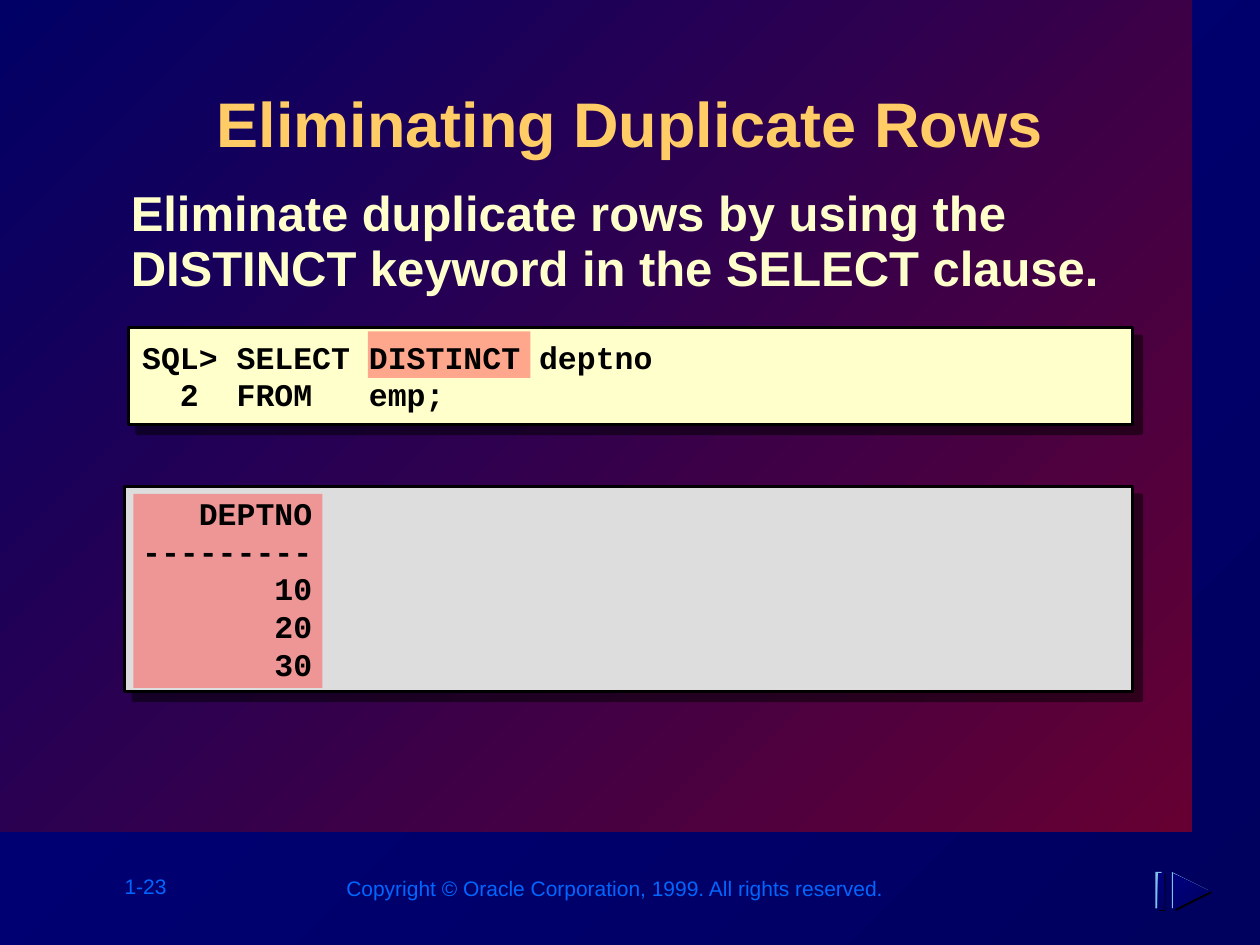
from lxml import etree
from pptx import Presentation
from pptx.dml.color import RGBColor
from pptx.enum.shapes import MSO_SHAPE
from pptx.enum.text import MSO_ANCHOR, PP_ALIGN
from pptx.oxml import parse_xml
from pptx.oxml.ns import nsdecls, qn
from pptx.util import Inches, Pt

RECTANGLE = MSO_SHAPE.RECTANGLE
TOP, MIDDLE = MSO_ANCHOR.TOP, MSO_ANCHOR.MIDDLE
LEFT, CENTER = PP_ALIGN.LEFT, PP_ALIGN.CENTER
BLACK, CREAM, FOOTER_BLUE, HIGHLIGHT = "000000", "FFFFCC", "0066FF", "FF5050"
PAGE_GRADIENT = ("000080", "00005F")
PANEL_GRADIENT = ("000066", "660033")

TITLE = "Eliminating Duplicate Rows"
BODY = "Eliminate duplicate rows by using the DISTINCT keyword in the SELECT clause."
QUERY = ["SQL> SELECT DISTINCT deptno", "  2  FROM   emp;"]
RESULT = ["   DEPTNO", "---------", "       10", "       20", "       30"]
FOOTERS = [
    ("1-23", (0.89, 6.88, 0.55, 0.3)),
    ("Copyright © Oracle Corporation, 1999. All rights reserved.", (2.65, 6.9, 4.48, 0.3)),
]
CODE_FRAMES = [((1.02, 2.6, 7.97, 0.77), CREAM), ((0.99, 3.86, 8, 1.63), "DDDDDD")]
HIGHLIGHTS = [(2.92, 2.63, 1.29, 0.37), (1.06, 3.92, 1.5, 1.54)]
# Bar left, triangle left, top and fill of each layer of the forward button
BUTTON_LAYERS = [
    (9.2, 9.33, 6.94, BLACK),
    (9.17, 9.3, 6.92, "7FC1EB"),
    (9.19, 9.31, 6.93, PAGE_GRADIENT),
]
BUTTON_HEIGHT = 0.29


def rgb(color):
    return RGBColor.from_string(color)


def paint(fill, color):
    """Fill with one colour, or with a diagonal gradient for a pair of colours."""
    if isinstance(color, str):
        fill.solid()
        fill.fore_color.rgb = rgb(color)
        return
    fill.gradient()
    fill.gradient_angle = 315
    for stop, stop_color in zip(fill.gradient_stops, color):
        stop.color.rgb = rgb(stop_color)


def shadow_effect(distance):
    return parse_xml(
        f'<a:effectLst {nsdecls("a")}><a:outerShdw dist="{Pt(distance)}" dir="2700000" '
        'algn="ctr" rotWithShape="0"><a:srgbClr val="000000"><a:alpha val="50000"/>'
        "</a:srgbClr></a:outerShdw></a:effectLst>"
    )


def finish(shape, color):
    shape.shadow.inherit = False
    paint(shape.fill, color)
    shape.line.fill.background()
    return shape


def add_rectangle(shapes, place, color):
    return finish(shapes.add_shape(RECTANGLE, *map(Inches, place)), color)


def write(box, lines, size, color, font="Arial", bold=True, align=LEFT, anchor=TOP, wrap=True):
    frame = box.text_frame
    frame.text = "\n".join(lines)
    frame.word_wrap = wrap
    frame.vertical_anchor = anchor
    for para in frame.paragraphs:
        para.alignment = align
        for span in para.runs:
            span.font.name = font
            span.font.size = Pt(size)
            span.font.bold = bold
            span.font.color.rgb = rgb(color)
    return frame


def add_text(page, place, lines, size, color, **style):
    return write(page.shapes.add_textbox(*map(Inches, place)), lines, size, color, **style)


def add_title(page):
    title = page.shapes.title
    title.left, title.top, title.width, title.height = map(Inches, (1.01, 0.56, 7.98, 0.96))
    frame = write(title, [TITLE], 36, "FFCC66", align=CENTER)
    frame.margin_top = Inches(0.11)
    properties = frame.paragraphs[0].runs[0].font.fill
    paint(properties, "FFCC66")
    for solid in title.element.iter(qn("a:solidFill")):
        solid.addnext(shadow_effect(4))
        break
    return title


def add_code_frame(page, place, color):
    frame = add_rectangle(page.shapes, place, color)
    frame.line.color.rgb = rgb(BLACK)
    frame.line.width = Pt(2)
    effects = frame.element.spPr.find(qn("a:effectLst"))
    effects.getparent().replace(effects, shadow_effect(7.1))


def add_highlight(page, place):
    mark = add_rectangle(page.shapes, place, HIGHLIGHT)
    color = mark.element.spPr.find(qn("a:solidFill"))[0]
    etree.SubElement(color, qn("a:alpha"), val="50000")


def add_button(page):
    shapes = page.shapes.add_group_shape().shapes
    for bar_left, _, top, color in BUTTON_LAYERS:
        add_rectangle(shapes, (bar_left, top, 0.05, BUTTON_HEIGHT), color)
    for _, left, top, color in BUTTON_LAYERS:
        tip = (Inches(left + 0.29), Inches(top + BUTTON_HEIGHT / 2))
        outline = shapes.build_freeform(*tip)
        corners = [(Inches(left), Inches(top)), (Inches(left), Inches(top + BUTTON_HEIGHT))]
        outline.add_line_segments(corners, close=True)
        finish(outline.convert_to_shape(), color)


def main():
    deck = Presentation()
    deck.slide_width, deck.slide_height = Inches(10), Inches(7.5)
    page = deck.slides.add_slide(deck.slide_layouts[5])
    paint(page.background.fill, PAGE_GRADIENT)

    panel = add_rectangle(page.shapes, (0, 0, 9.46, 6.6), PANEL_GRADIENT)
    title = add_title(page)
    title.element.addprevious(panel.element)

    for text, place in FOOTERS:
        add_text(page, place, [text], 12, FOOTER_BLUE, bold=False, wrap=False)
    for place, color in CODE_FRAMES:
        add_code_frame(page, place, color)
    body = add_text(page, (0.94, 1.43, 8.06, 0.99), [BODY], 28, CREAM)
    body.paragraphs[0].line_spacing = 0.95
    for place in HIGHLIGHTS:
        add_highlight(page, place)
    add_text(page, (1.03, 2.58, 8, 0.8), QUERY, 18, BLACK, font="Courier New", anchor=MIDDLE)
    add_text(page, (1.03, 3.87, 7.97, 1.9), RESULT, 18, BLACK, font="Courier New")
    add_button(page)
    deck.save("out.pptx")


if __name__ == "__main__":
    main()
